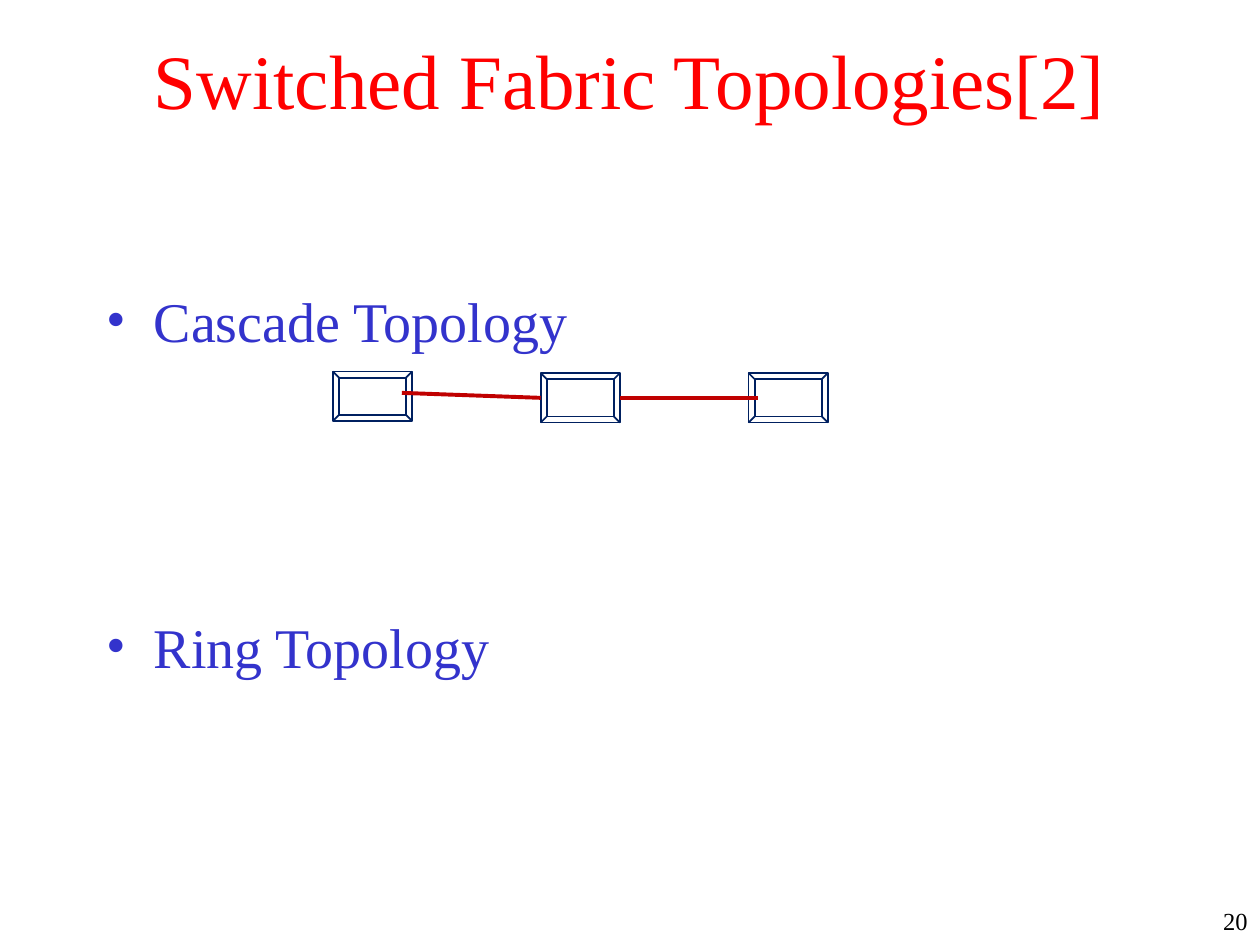
from pptx import Presentation
from pptx.dml.color import RGBColor
from pptx.enum.shapes import MSO_CONNECTOR, MSO_SHAPE
from pptx.enum.text import MSO_ANCHOR, PP_ALIGN
from pptx.oxml.ns import qn
from pptx.util import Cm, Pt
from lxml.etree import SubElement

FONT = "Times New Roman"
BLUE = "3333CC"


def color(code):
    return RGBColor.from_string(code)


def add_box(slide, left, top, width, height, anchor=MSO_ANCHOR.TOP):
    box = slide.shapes.add_textbox(Cm(left), Cm(top), Cm(width), Cm(height))
    frame = box.text_frame
    frame.word_wrap = True
    frame.vertical_anchor = anchor
    return frame


def add_run(para, text, size, code):
    run = para.add_run()
    run.text = text
    run.font.name = FONT
    run.font.size = Pt(size)
    run.font.color.rgb = color(code)


def add_bullet(para, code):
    props = para._p.get_or_add_pPr()
    props.set("marL", str(Cm(0.95)))
    props.set("indent", str(-Cm(0.95)))
    tint = SubElement(props, qn("a:buClr"))
    SubElement(tint, qn("a:srgbClr"), val=code)
    SubElement(props, qn("a:buFont"), typeface=FONT)
    SubElement(props, qn("a:buChar"), char="•")


def add_list(slide, items, gap):
    frame = add_box(slide, 1.9, 5.52, 21.6, 11.43)
    frame.margin_top = Cm(0.25)
    for index, item in enumerate(items):
        para = frame.add_paragraph() if index else frame.paragraphs[0]
        add_bullet(para, BLUE)
        if index:
            para.space_before = Pt(gap)
        add_run(para, item, 32, BLUE)


def add_node(slide, left, top):
    node = slide.shapes.add_shape(
        MSO_SHAPE.BEVEL, Cm(left), Cm(top), Cm(1.6), Cm(1))
    node.shadow.inherit = False
    node.fill.background()
    node.line.color.rgb = color("002060")
    node.line.width = Pt(1)


def add_link(slide, start, end):
    link = slide.shapes.add_connector(
        MSO_CONNECTOR.STRAIGHT, *map(Cm, start + end))
    link.line.color.rgb = color("C00000")
    link.line.width = Pt(2.25)
    SubElement(link._element.spPr, qn("a:effectLst"))


def main():
    deck = Presentation()
    deck.slide_width, deck.slide_height = Cm(25.4), Cm(19.05)
    slide = deck.slides.add_slide(deck.slide_layouts[6])

    # Title
    para = add_box(slide, 1.9, 0, 21.6, 3.18, MSO_ANCHOR.MIDDLE).paragraphs[0]
    para.alignment = PP_ALIGN.CENTER
    add_run(para, "Switched Fabric Topologies[2]", 44, "FF0000")

    # Topology list, with room for a drawing under each entry
    add_list(slide, ["Cascade Topology", "Ring Topology"], 148)

    # Page number
    para = add_box(slide, 24.05, 18.14, 1.35, 0.91).paragraphs[0]
    para.alignment = PP_ALIGN.RIGHT
    add_run(para, "20", 14, "000000")

    # Cascade of three switches
    for step, top in enumerate([7.49, 7.52, 7.52]):
        add_node(slide, 6.71 + step * 4.19, top)
    add_link(slide, (8.1, 7.92), (10.9, 8.02))
    add_link(slide, (12.5, 8.02), (15.29, 8.02))

    deck.save("out.pptx")


if __name__ == "__main__":
    main()
